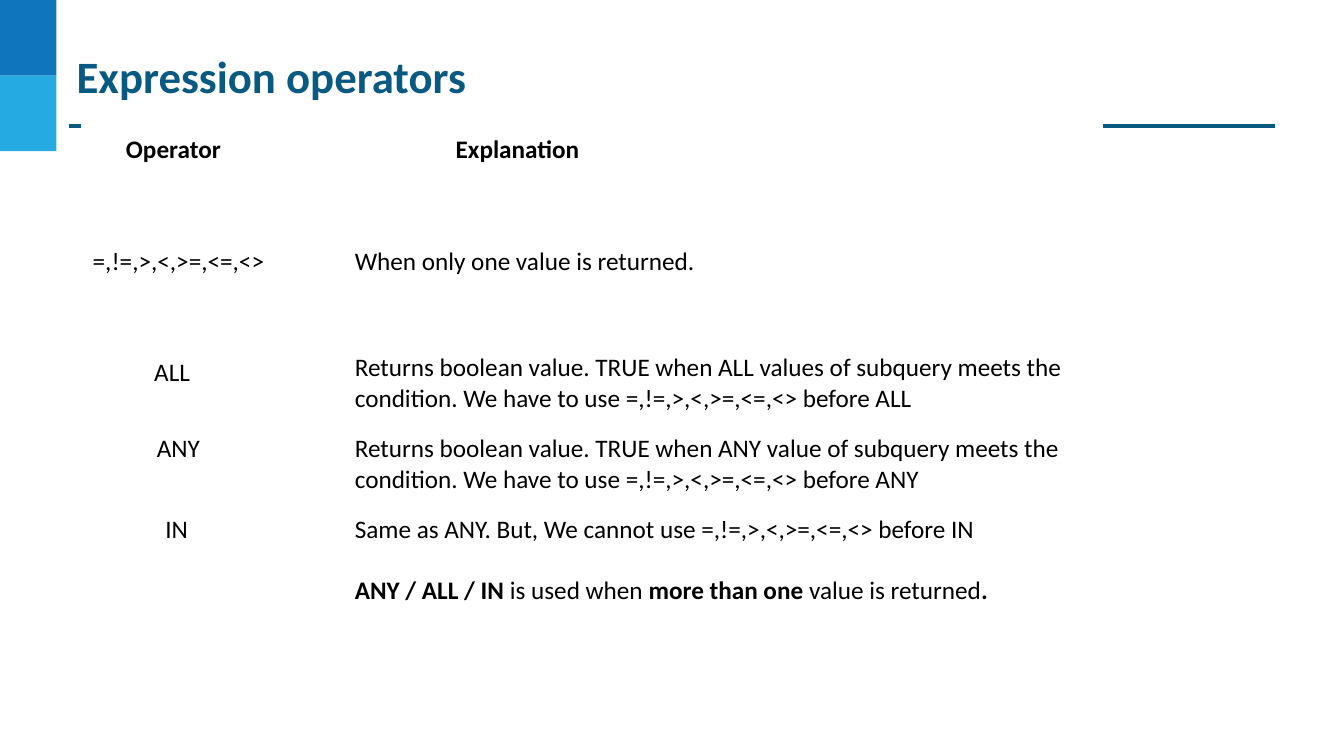
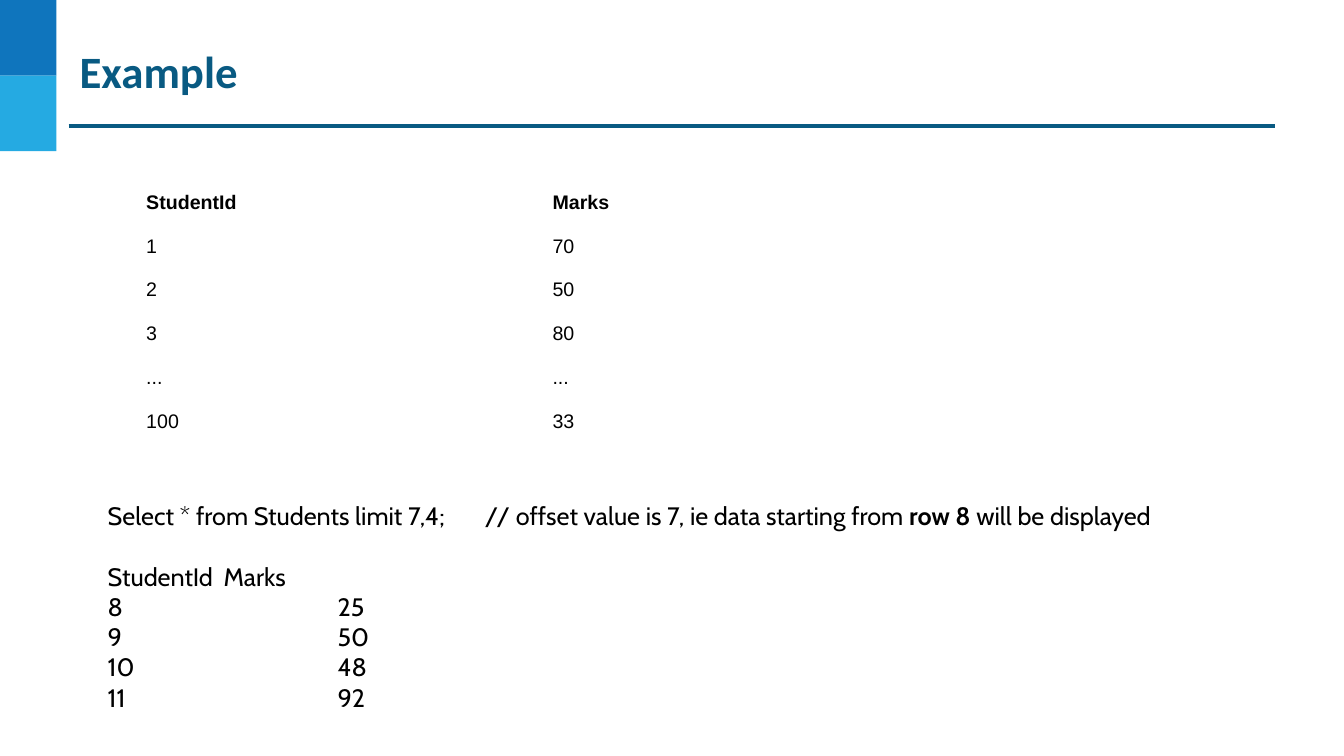
from lxml.etree import SubElement
from pptx import Presentation
from pptx.dml.color import RGBColor
from pptx.enum.shapes import MSO_CONNECTOR as Connector, MSO_SHAPE as Preset
from pptx.enum.text import MSO_ANCHOR as Anchor, MSO_AUTO_SIZE as AutoSize, PP_ALIGN as Align
from pptx.oxml.ns import qn
from pptx.util import Pt

PX = 9144  # 100 px to the inch
COLORS = {"dark": "0F75BD", "light": "25AAE2", "title": "095A82",
          "text": "000000", "white": "FFFFFF"}
TITLE = {"name": "Calibri", "size": Pt(32), "bold": True}
OPERATOR = {"name": "Calibri", "size": Pt(18)}
MARKS = {"name": "Arial", "size": Pt(14)}
QUERY = {"name": "Cabin", "size": Pt(18)}
BLANK_LINE = Pt(22)
MARGINS = ("left", "top", "right", "bottom")


def px(value):
    return round(value * PX)


def box(*lengths):
    return [px(length) for length in lengths]


def color(name):
    return RGBColor.from_string(COLORS[name])


def set_margins(target, margins):
    for side, margin in zip(MARGINS, margins):
        setattr(target, f"margin_{side}", px(margin))


def add_runs(paragraph, runs, style, color_name="text"):
    """Write (text, bold) pairs in one style."""
    for text, bold in runs:
        run = paragraph.add_run()
        run.text = text
        for name, value in {**style, "bold": bold}.items():
            setattr(run.font, name, value)
        run.font.color.rgb = color(color_name)


# Shared look: bands and rule on the layout, title on each slide
def decorate_layout(layout, slide):
    parts = []
    for index, name in enumerate(("dark", "light")):
        band = slide.shapes.add_shape(Preset.RECTANGLE, *box(0, 75 * index, 56, 75))
        band.shadow.inherit = False
        band.fill.solid()
        band.fill.fore_color.rgb = color(name)
        band.line.fill.background()
        parts.append(band)
    rule = slide.shapes.add_connector(Connector.STRAIGHT, *box(68, 125, 1265, 125))
    rule.line.color.rgb = color("title")
    rule.line.width = Pt(2.25)
    SubElement(rule.element.spPr, qn("a:effectLst"))
    parts.append(rule)
    for number, part in enumerate(parts, 20):
        part.element.xpath(".//p:cNvPr")[0].set("id", str(number))
        layout.shapes.element.append(part.element)


def add_title(slide, text, left, top):
    title = slide.shapes.title
    title.left, title.top, title.width, title.height = box(left, top, 1197, 58)
    frame = title.text_frame
    frame.word_wrap = True
    frame.auto_size = AutoSize.SHAPE_TO_FIT_TEXT
    frame.vertical_anchor = Anchor.TOP
    set_margins(frame, (2, 2, 2, 2))
    paragraph = frame.paragraphs[0]
    paragraph.alignment = Align.LEFT
    add_runs(paragraph, [(text, True)], TITLE, "title")


# Tables
def add_plain_table(slide, left, top, columns, rows):
    table = slide.shapes.add_table(len(rows), len(columns),
                                   *box(left, top, sum(columns), sum(rows))).table
    table.first_row = table.horz_banding = False
    for column, width in zip(table.columns, columns):
        column.width = px(width)
    for row, height in zip(table.rows, rows):
        row.height = px(height)
    return table


def add_operator_table(slide, left, top):
    condition = "condition. We have to use =,!=,>,<,>=,<=,<> before "
    summary = [("ANY / ALL / IN ", True), ("is used when", False),
               (" more than one ", True), ("value is returned", False), (".", True)]
    center, start = Align.CENTER, Align.LEFT
    # Each cell: paragraphs, left margin, right margin, alignment, line spacing
    rows = [
        [([[("Operator", True)]], 10, 10, center, 1),
         ([[("Explanation", True)]], 189, 10, start, 1)],
        [([[("=,!=,>,<,>=,<=,<>", False)]], 10, 0, center, 1.15),
         ([[("When only one value is returned.", False)]], 89, 10, start, 1.15)],
        [([[("ALL", False)]], 72, 10, start, 1.15),
         ([[("Returns boolean value. TRUE when ALL values of subquery meets the "
             + condition + "ALL", False)]], 89, 10, start, 1)],
        [([[("ANY", False)]], 20, 10, center, 1),
         ([[("Returns boolean value. TRUE when ANY value of subquery meets the "
             + condition + "ANY", False)]], 89, 10, start, 1)],
        [([[("IN", False)]], 83, 10, start, 1),
         ([[("Same as ANY. But, We cannot use =,!=,>,<,>=,<=,<> before IN", False)],
           summary], 89, 10, start, 1)],
    ]
    table = add_plain_table(slide, left, top, (182, 830), (107, 110, 80, 80, 110))
    for row, contents in zip(table.rows, rows):
        for cell, (lines, before, after, alignment, spacing) in zip(row.cells, contents):
            cell.fill.solid()
            cell.fill.fore_color.rgb = color("white")
            set_margins(cell, (before, 10, after, 10))
            for index, runs in enumerate(lines):
                frame = cell.text_frame
                paragraph = frame.add_paragraph() if index else frame.paragraphs[0]
                paragraph.alignment = alignment
                paragraph.line_spacing = spacing
                if index:
                    paragraph.space_before = BLANK_LINE
                add_runs(paragraph, runs, OPERATOR)


def add_marks_table(slide, left, top):
    rows = [("StudentId", "Marks"), ("1", "70"), ("2", "50"), ("3", "80"),
            ("...", "..."), ("100", "33")]
    table = add_plain_table(slide, left, top, (403, 403), [43] * len(rows))
    for index, (row, values) in enumerate(zip(table.rows, rows)):
        for cell, value in zip(row.cells, values):
            cell.fill.background()
            set_margins(cell, (10, 10, 10, 10))
            add_runs(cell.text_frame.paragraphs[0], [(value, index == 0)], MARKS)


# Query and its result, in tabbed columns
def add_query(slide, left, top):
    query = [("Select * from Students limit 7,4;\t// offset value is 7, "
              "ie data starting from ", False),
             ("row 8", True), (" will be displayed", False)]
    result = [("8", "25"), ("9", "50"), ("10", "48"), ("11", "92")]
    lines = [(query, 374), ([("StudentId\tMarks", False)], 115)]
    lines += [([("\t".join(values), False)], 228) for values in result]

    frame = slide.shapes.add_textbox(*box(left, top, 1169, 232)).text_frame
    frame.word_wrap = True
    frame.auto_size = AutoSize.SHAPE_TO_FIT_TEXT
    set_margins(frame, (10, 10, 10, 10))
    for index, (runs, tab) in enumerate(lines):
        paragraph = frame.add_paragraph() if index else frame.paragraphs[0]
        if index == 1:
            paragraph.space_before = BLANK_LINE
        tabs = SubElement(paragraph._p.get_or_add_pPr(), qn("a:tabLst"))
        SubElement(tabs, qn("a:tab"), pos=str(px(tab)), algn="l")
        add_runs(paragraph, runs, QUERY)


def main():
    presentation = Presentation()
    presentation.slide_width, presentation.slide_height = box(1333, 750)
    layout = presentation.slide_layouts[5]

    operators = presentation.slides.add_slide(layout)
    decorate_layout(layout, operators)
    add_title(operators, "Expression operators", 74, 46)
    add_operator_table(operators, 81, 123)

    example = presentation.slides.add_slide(layout)
    add_title(example, "Example", 77, 41)
    add_marks_table(example, 135, 180)
    add_query(example, 97, 486)

    presentation.save("out.pptx")


if __name__ == "__main__":
    main()
